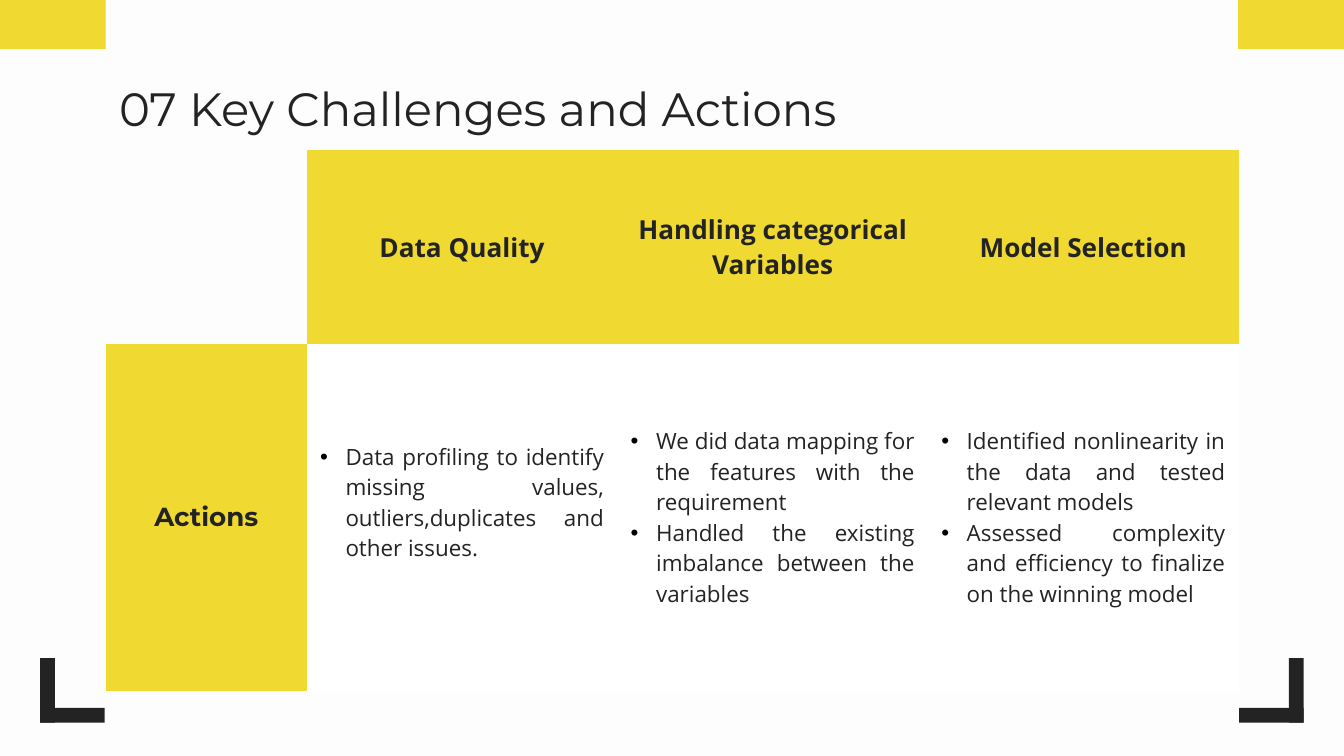
from pptx import Presentation
from pptx import util as u
from pptx.dml import color as clr
from pptx.enum import shapes, text
from pptx.oxml import ns
from lxml import etree

WIDE, HIGH = 25.4, 14.29
INK, GOLD, PALE, WHITE = "232323", "F0D931", "FDFDFD", "FFFFFF"
HEAD, BODY = "Montserrat", "Open Sans"
PAD, LINE = 0.25, 0.58
COLS = [3.8, 5.87, 5.87, 5.87]
ROWS = [3.67, 6.56]

TITLES = [
    ["Data Quality"],
    ["Handling categorical", "Variables"],
    ["Model Selection"],
]
POINTS = [
    ["Data profiling to identify missing values, outliers,duplicates and other issues."],
    [
        "We did data mapping for the features with the requirement",
        "Handled the existing imbalance between the variables",
    ],
    [
        "Identified nonlinearity in the data and tested relevant models",
        "Assessed complexity and efficiency to finalize on the winning model",
    ],
]


def paint(fill, shade):
    fill.solid()
    fill.fore_color.rgb = clr.RGBColor.from_string(shade)


def bullet(para):
    props = para._p.get_or_add_pPr()
    props.set("marL", str(u.Cm(0.48)))
    props.set("indent", str(-u.Cm(0.48)))
    tint = etree.SubElement(props, ns.qn("a:buClr"))
    etree.SubElement(tint, ns.qn("a:srgbClr")).set("val", "000000")
    etree.SubElement(props, ns.qn("a:buFont")).set("typeface", "Arial")
    etree.SubElement(props, ns.qn("a:buChar")).set("char", "•")


def write(frame, lines, font=BODY, size=14, bold=False, align="CENTER", dots=False):
    for i, line in enumerate(lines):
        para = frame.paragraphs[0] if i == 0 else frame.add_paragraph()
        para.alignment = text.PP_ALIGN[align]
        if dots:
            bullet(para)
        run = para.add_run()
        run.text = line
        run.font.name = font
        run.font.size = u.Pt(size)
        run.font.bold = bold
        run.font.color.rgb = clr.RGBColor.from_string(INK)


def pad(box):
    box.margin_left = box.margin_right = u.Cm(PAD)
    box.margin_top = box.margin_bottom = u.Cm(PAD)
    box.vertical_anchor = text.MSO_ANCHOR.MIDDLE


def block(slide, left, top, width, height, shade):
    for x in (left, WIDE - left - width):
        box = slide.shapes.add_shape(
            shapes.MSO_SHAPE.RECTANGLE, u.Cm(x), u.Cm(top), u.Cm(width), u.Cm(height)
        )
        paint(box.fill, shade)
        box.line.fill.background()
        box.shadow.inherit = False


def title(slide, line):
    box = slide.shapes.title
    box.left, box.top = u.Cm(2), u.Cm(1.24)
    box.width, box.height = u.Cm(sum(COLS)), u.Cm(1.6)
    frame = box.text_frame
    frame.word_wrap = True
    pad(frame)
    write(frame, [line], font=HEAD, size=25, align="LEFT")


def dress(cell, shade):
    paint(cell.fill, shade)
    pad(cell)
    props = cell._tc.get_or_add_tcPr()
    for i, side in enumerate(("lnL", "lnR", "lnT", "lnB")):
        edge = etree.Element(ns.qn("a:" + side))
        etree.SubElement(edge, ns.qn("a:noFill"))
        props.insert(i, edge)


def grid(slide):
    table = slide.shapes.add_table(
        len(ROWS), len(COLS), u.Cm(2), u.Cm(2.83), u.Cm(sum(COLS)), u.Cm(sum(ROWS))
    ).table
    for col, width in zip(table.columns, COLS):
        col.width = u.Cm(width)
    for row, height in zip(table.rows, ROWS):
        row.height = u.Cm(height)
    dress(table.cell(0, 0), PALE)
    side = table.cell(1, 0)
    dress(side, GOLD)
    write(side.text_frame, ["Actions"], font=HEAD, bold=True)
    for i, (name, items) in enumerate(zip(TITLES, POINTS), 1):
        top, low = table.cell(0, i), table.cell(1, i)
        dress(top, GOLD)
        dress(low, WHITE)
        write(top.text_frame, name, bold=True)
        write(low.text_frame, items, size=12, align="JUSTIFY", dots=True)
    table.cell(1, 1).margin_bottom = u.Cm(PAD + LINE)


def main():
    deck = Presentation()
    deck.slide_width, deck.slide_height = u.Cm(WIDE), u.Cm(HIGH)
    slide = deck.slides.add_slide(deck.slide_layouts[5])
    paint(slide.background.fill, PALE)
    block(slide, 0.76, 12.44, 0.28, 1.22, INK)
    block(slide, 0.76, 13.38, 1.22, 0.28, INK)
    block(slide, 0, 0, 2, 0.93, GOLD)
    title(slide, "07 Key Challenges and Actions")
    grid(slide)
    deck.save("out.pptx")


if __name__ == "__main__":
    main()
